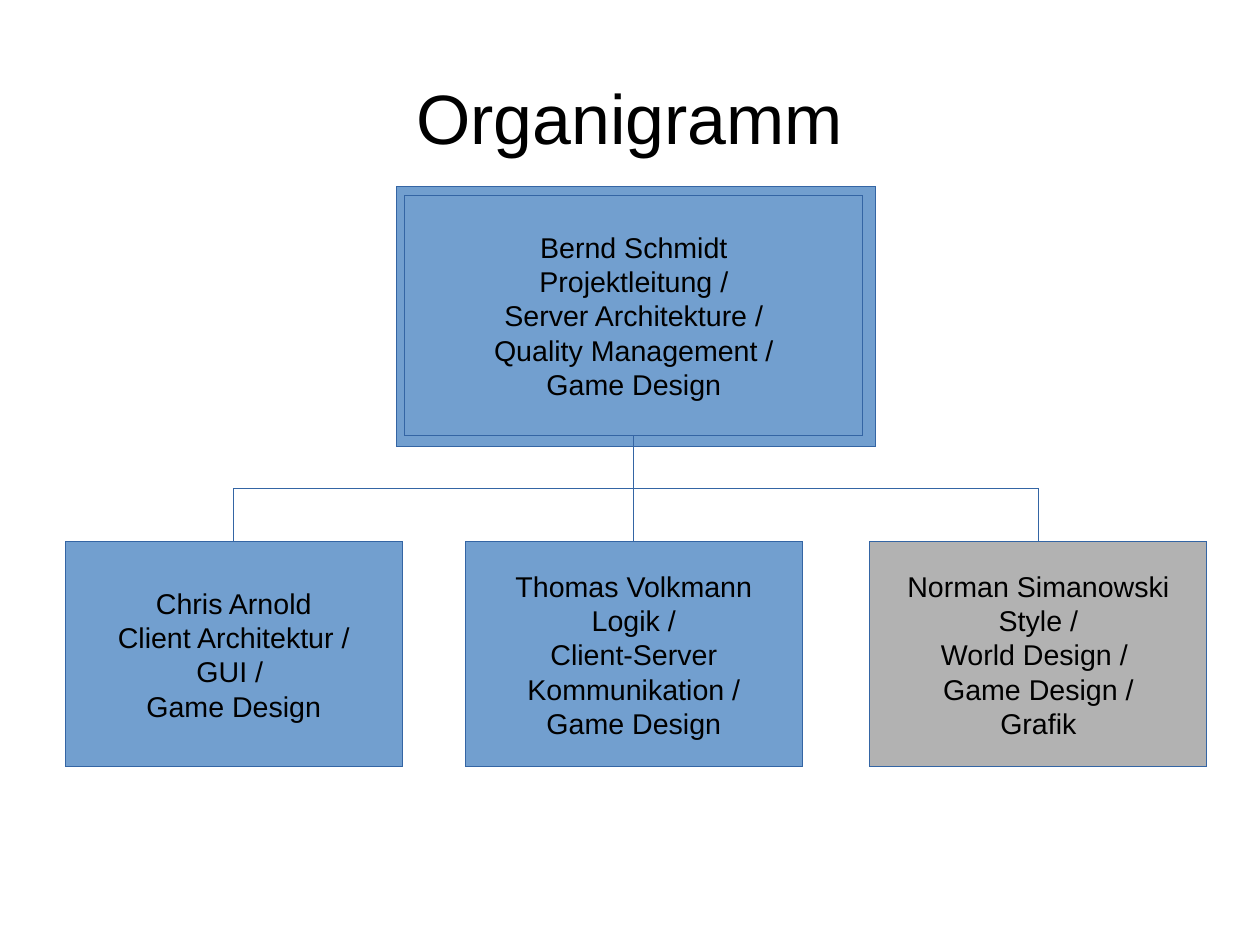
import pptx
import pptx.util
import pptx.dml.color
import pptx.enum.shapes
import pptx.enum.text
import pptx.oxml.ns
import lxml.etree

Inches = pptx.util.Inches
Pt = pptx.util.Pt
RGBColor = pptx.dml.color.RGBColor

BLUE = RGBColor(0x72, 0x9F, 0xCF)
GRAY = RGBColor(0xB2, 0xB2, 0xB2)
LINE = RGBColor(0x34, 0x65, 0xA4)
BLACK = RGBColor(0, 0, 0)

TITLE = "Organigramm"
LEAD = ["Bernd Schmidt", "Projektleitung /", "Server Architekture /",
        "Quality Management /", "Game Design"]
TEAM = [
    (0.57, BLUE, ["Chris Arnold", "Client Architektur /", "GUI / ", "Game Design"]),
    (4.07, BLUE, ["Thomas Volkmann", "Logik /", "Client-Server",
                  "Kommunikation /", "Game Design"]),
    (7.61, GRAY, ["Norman Simanowski", "Style /", "World Design / ",
                  "Game Design /", "Grafik"]),
]
SLIDE_W, SLIDE_H = pptx.util.Cm(28), pptx.util.Cm(21)
TITLE_BOX = (0.55, 0.33, 9.92, 1.38)
FRAME_BOX = (3.47, 1.63, 4.19, 2.28)
LEAD_BOX = (3.54, 1.71, 4.01, 2.1)
TEAM_TOP, TEAM_W, TEAM_H = 4.74, 2.95, 1.97
BOTTOM_SITE, TOP_SITE = 2, 0


def write(sp, lines, size=18, wrap=False, inset=(0.1, 0.05)):
    tf = sp.text_frame
    tf.word_wrap = wrap
    tf.vertical_anchor = pptx.enum.text.MSO_ANCHOR.MIDDLE
    tf.margin_left = tf.margin_right = Inches(inset[0])
    tf.margin_top = tf.margin_bottom = Inches(inset[1])
    for i, line in enumerate(lines):
        p = tf.paragraphs[0] if i == 0 else tf.add_paragraph()
        p.alignment = pptx.enum.text.PP_ALIGN.CENTER
        r = p.add_run()
        r.text = line
        r.font.name = "Arial"
        r.font.size = Pt(size)
        r.font.color.rgb = BLACK


def set_hairline(sp):
    sp.line.color.rgb = LINE
    sp._element.spPr.find(pptx.oxml.ns.qn("a:ln")).set("w", "0")


def add_box(s, box, fill=None):
    sp = s.shapes.add_shape(pptx.enum.shapes.MSO_SHAPE.RECTANGLE, *map(Inches, box))
    sp.shadow.inherit = False
    if fill is None:
        sp.fill.background()
    else:
        sp.fill.solid()
        sp.fill.fore_color.rgb = fill
    set_hairline(sp)
    return sp


def connect(s, lead, member):
    x1, y1 = lead.left + lead.width // 2, lead.top + lead.height
    x2, y2 = member.left + member.width // 2, member.top
    c = s.shapes.add_connector(pptx.enum.shapes.MSO_CONNECTOR.ELBOW, x1, y1, x2, y2)
    c.begin_connect(lead, BOTTOM_SITE)
    c.end_connect(member, TOP_SITE)
    drop, reach = y2 - y1, abs(x2 - x1)
    xfrm = c._element.spPr.xfrm
    xfrm.attrib.clear()
    if x2 > x1:
        xfrm.set("rot", "16200000")
        xfrm.set("flipH", "1")
    else:
        xfrm.set("rot", "5400000")
    c.left, c.top = (x1 + x2 - drop) // 2, (y1 + y2 - reach) // 2
    c.width, c.height = drop, reach
    set_hairline(c)
    lxml.etree.SubElement(c._element.spPr, pptx.oxml.ns.qn("a:effectLst"))


def main():
    prs = pptx.Presentation()
    prs.slide_width, prs.slide_height = SLIDE_W, SLIDE_H
    s = prs.slides.add_slide(prs.slide_layouts[6])

    add_box(s, FRAME_BOX, BLUE)
    title = s.shapes.add_textbox(*map(Inches, TITLE_BOX))
    write(title, [TITLE], size=44, wrap=True, inset=(0, 0))
    lead = add_box(s, LEAD_BOX)
    write(lead, LEAD)
    for left, fill, lines in TEAM:
        member = add_box(s, (left, TEAM_TOP, TEAM_W, TEAM_H), fill)
        write(member, lines)
        connect(s, lead, member)
    prs.save("out.pptx")


if __name__ == "__main__":
    main()
